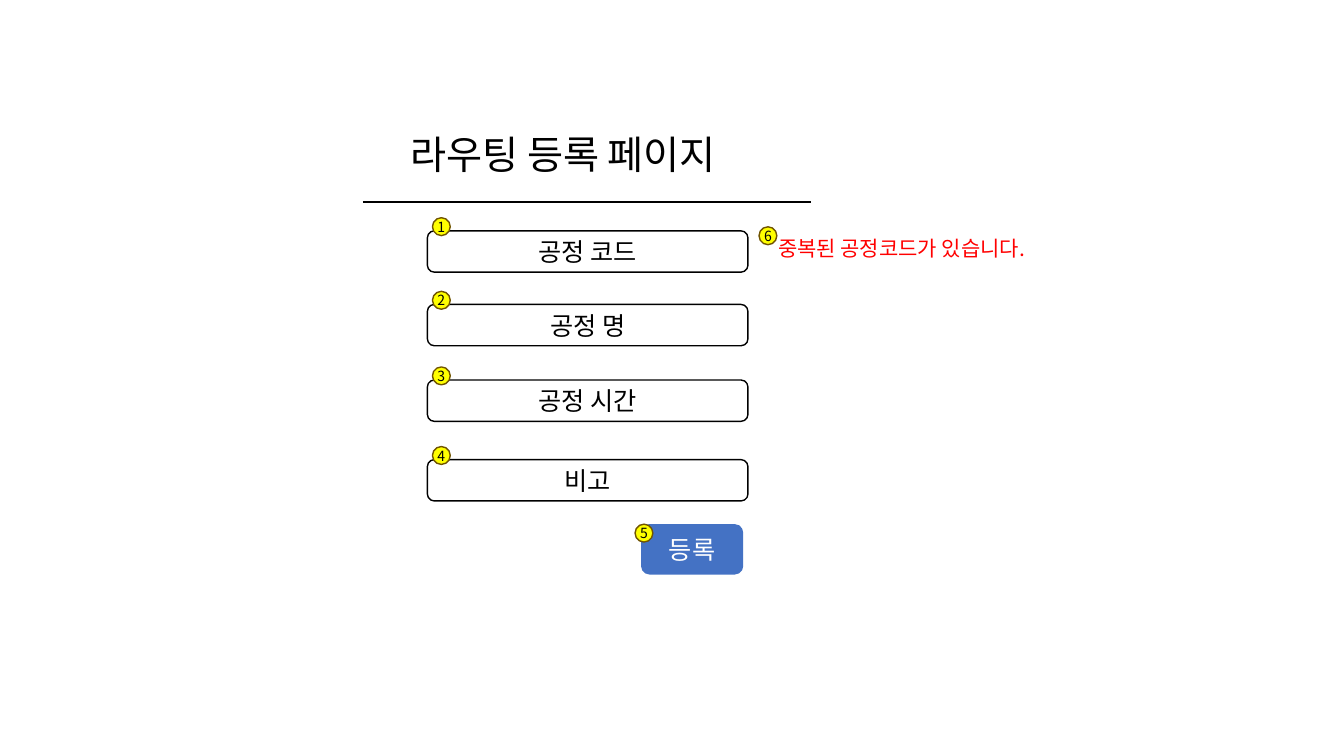
from dataclasses import dataclass

from lxml import etree
from pptx import Presentation
from pptx.dml.color import RGBColor
from pptx.enum.shapes import MSO_CONNECTOR, MSO_SHAPE
from pptx.enum.text import MSO_ANCHOR, MSO_AUTO_SIZE, PP_ALIGN
from pptx.oxml.ns import qn
from pptx.util import Inches, Pt

ROUND = MSO_SHAPE.ROUNDED_RECTANGLE
DOT = MSO_SHAPE.FLOWCHART_CONNECTOR
STRAIGHT = MSO_CONNECTOR.STRAIGHT
MIDDLE, TOP = MSO_ANCHOR.MIDDLE, MSO_ANCHOR.TOP
CENTER, LEFT = PP_ALIGN.CENTER, PP_ALIGN.LEFT
GROW = MSO_AUTO_SIZE.SHAPE_TO_FIT_TEXT

WIDTH, HEIGHT = Inches(13.33), Inches(7.5)
COLS, ROWS = 40, 30
TITLE_ONLY = 5


@dataclass(frozen=True)
class Theme:
    font: str = "Noto Sans CJK KR"
    ink: str = "000000"
    paper: str = "FFFFFF"
    accent: str = "4472C4"
    alert: str = "FF0000"
    mark: str = "FFFF00"
    rim: str = "705400"
    title: int = 28
    label: int = 18
    note: int = 15
    digit: int = 10
    thin: float = 1
    rule: float = 1.5


@dataclass(frozen=True)
class Box:
    """A place on the grid, in columns and rows."""
    col: float
    row: float
    wide: float
    high: float

    def place(self) -> tuple[int, int, int, int]:
        return (across(self.col), down(self.row),
                across(self.wide), down(self.high))


@dataclass(frozen=True)
class Item:
    """A numbered part of the form; shift moves its badge from its corner."""
    text: str
    box: Box
    shift: tuple[float, float]


THEME = Theme()
FIELDS = [
    Item(text, Box(12.72, row, 9.54, 1.64), (0.15, -0.52))
    for text, row in [("공정 코드", 9.16), ("공정 명", 12.08),
                      ("공정 시간", 15.08), ("비고", 18.24)]
]
BUTTON = Item("등록", Box(19.08, 20.8, 3.04, 2), (-0.18, 0))
NOTE = Item("중복된 공정코드가 있습니다.", Box(22.86, 9.16, 8.97, 1.4), (-0.27, -0.16))
TITLE = Box(11.91, 4.96, 10.77, 2.28)
RULE = Box(10.8, 8, 13.35, 0)


def across(cols: float) -> int:
    return round(WIDTH * cols / COLS)


def down(rows: float) -> int:
    return round(HEIGHT * rows / ROWS)


def write(shape, text: str, size: int, color: str, align=CENTER, anchor=MIDDLE) -> None:
    frame = shape.text_frame
    frame.text = text
    frame.word_wrap = True
    frame.vertical_anchor = anchor
    line = frame.paragraphs[0]
    line.alignment = align
    font = line.runs[0].font
    font.name, font.size = THEME.font, Pt(size)
    font.color.rgb = RGBColor.from_string(color)
    latin = line.runs[0].font._element.find(qn("a:latin"))
    asian = etree.Element(qn("a:ea"), typeface=THEME.font)
    latin.addnext(asian)


def draw(slide, kind, box: Box, fill: str, edge: str | None = None):
    shape = slide.shapes.add_shape(kind, *box.place())
    shape.shadow.inherit = False
    shape.fill.solid()
    shape.fill.fore_color.rgb = RGBColor.from_string(fill)
    if edge:
        shape.line.color.rgb = RGBColor.from_string(edge)
        shape.line.width = Pt(THEME.thin)
    else:
        shape.line.fill.background()
    return shape


def badge(slide, num: int, item: Item) -> None:
    right, low = item.shift
    spot = Box(item.box.col + right, item.box.row + low, 0.53, 0.71)
    shape = draw(slide, DOT, spot, THEME.mark, THEME.rim)
    frame = shape.text_frame
    frame.margin_left = frame.margin_right = 0
    frame.margin_top = frame.margin_bottom = 0
    write(shape, str(num), THEME.digit, THEME.ink)


def head(slide) -> None:
    title = slide.shapes.title
    title.left, title.top, title.width, title.height = TITLE.place()
    write(title, "라우팅 등록 페이지", THEME.title, THEME.ink, LEFT, TOP)
    title.text_frame.auto_size = GROW
    left, top, width, _ = RULE.place()
    rule = slide.shapes.add_connector(STRAIGHT, left, top, left + width, top)
    rule.line.color.rgb = RGBColor.from_string(THEME.ink)
    rule.line.width = Pt(THEME.rule)
    etree.SubElement(rule._element.spPr, qn("a:effectLst"))


def form(slide) -> None:
    for field in FIELDS:
        shape = draw(slide, ROUND, field.box, THEME.paper, THEME.ink)
        write(shape, field.text, THEME.label, THEME.ink)
    shape = draw(slide, ROUND, BUTTON.box, THEME.accent)
    write(shape, BUTTON.text, THEME.label, THEME.paper)
    note = slide.shapes.add_textbox(*NOTE.box.place())
    write(note, NOTE.text, THEME.note, THEME.alert, LEFT, TOP)
    note.text_frame.auto_size = GROW
    for num, item in enumerate([*FIELDS, BUTTON, NOTE], 1):
        badge(slide, num, item)


def main() -> None:
    deck = Presentation()
    deck.slide_width, deck.slide_height = WIDTH, HEIGHT
    slide = deck.slides.add_slide(deck.slide_layouts[TITLE_ONLY])
    head(slide)
    form(slide)
    deck.save("out.pptx")


if __name__ == "__main__":
    main()
